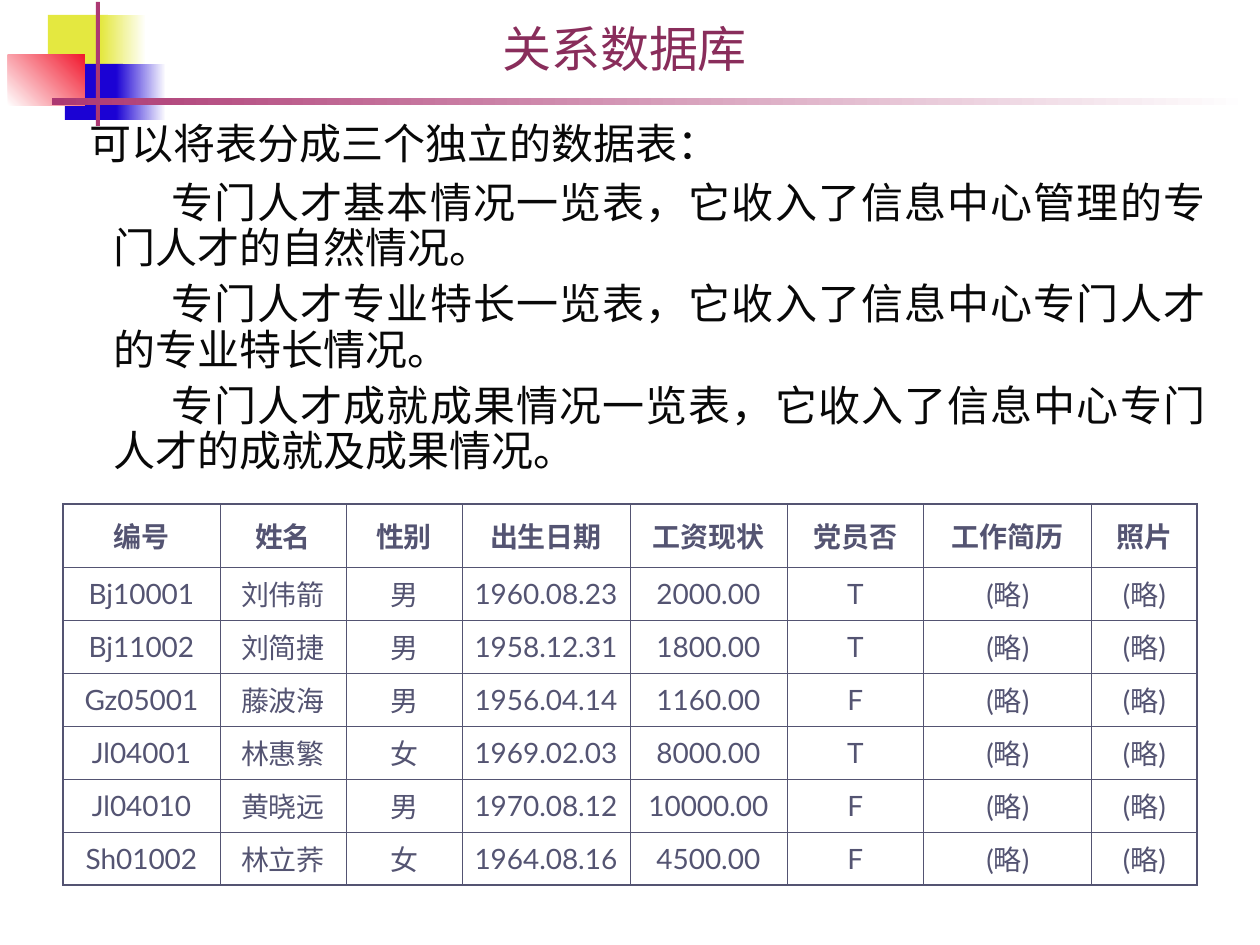
"""Build the relational database slide with its personnel table."""
from lxml import etree
from pptx import Presentation
from pptx import util as u
from pptx.dml.color import RGBColor
from pptx.enum import shapes, text
from pptx.oxml.ns import qn

SCALE = 914400 / 126
COLORS = {
    "yellow": "E4E840", "blue": "1B02D4", "red": "F1192E", "plum": "AC3872",
    "white": "FFFFFF", "title": "892D5B", "body": "080808", "table": "545472",
}


def px(value):
    return u.Emu(round(value * SCALE))


def write(para, content, size, color, bold=False):
    span = para.add_run()
    span.text = content
    for name, value in {"name": "Lato", "size": u.Pt(size), "bold": bold}.items():
        setattr(span.font, name, value)
    span.font.color.rgb = RGBColor.from_string(COLORS[color])


deck = Presentation()
deck.slide_width, deck.slide_height = px(1260), px(945)
page = deck.slides.add_slide(deck.slide_layouts[6])

ornaments = [
    ((48, 15, 60, 55), ["yellow"], 0),
    ((101, 15, 45, 55), ["yellow", "white"], 0),
    ((65, 64, 58, 56), ["blue"], 0),
    ((116, 64, 50, 56), ["blue", "white"], 0),
    ((8, 55, 77, 51), ["white", "red"], 45),
    ((96, 2, 4, 124), ["plum"], 0),
    ((52, 98, 1198, 7), ["plum", "white"], 0),
]
for place, tints, angle in ornaments:
    block = page.shapes.add_shape(shapes.MSO_SHAPE.RECTANGLE, *map(px, place))
    block.shadow.inherit = False
    block.line.fill.background()
    if len(tints) == 1:
        block.fill.solid()
        block.fill.fore_color.rgb = RGBColor.from_string(COLORS[tints[0]])
    else:
        block.fill.gradient()
        block.fill.gradient_angle = angle
        for stop, tint, position in zip(block.fill.gradient_stops, tints, (0, 1)):
            stop.color.rgb = RGBColor.from_string(COLORS[tint])
            stop.position = position

body = page.shapes.add_textbox(*map(px, (53, 105, 1165, 388))).text_frame
body.word_wrap = True
body.margin_top = px(18)
statements = [
    ("可以将表分成三个独立的数据表：", -24, 0),
    ("专门人才基本情况一览表，它收入了信息中心管理的专门人才的自然情况。", 58, 8),
    ("专门人才专业特长一览表，它收入了信息中心专门人才的专业特长情况。", 58, 6),
    ("专门人才成就成果情况一览表，它收入了信息中心专门人才的成就及成果情况。", 58, 6),
]
for index, (content, indent, before) in enumerate(statements):
    para = body.add_paragraph() if index else body.paragraphs[0]
    layout = {"alignment": text.PP_ALIGN.JUSTIFY, "line_spacing": 0.9,
              "space_before": u.Pt(before)}
    for name, value in layout.items():
        setattr(para, name, value)
    properties = para._p.get_or_add_pPr()
    properties.set("marL", str(px(48)))
    properties.set("indent", str(px(indent)))
    write(para, content, 24, "body")

records = [
    ["编号", "姓名", "性别", "出生日期", "工资现状", "党员否", "工作简历", "照片"],
    ["Bj10001", "刘伟箭", "男", "1960.08.23", "2000.00", "T", "(略)", "(略)"],
    ["Bj11002", "刘简捷", "男", "1958.12.31", "1800.00", "T", "(略)", "(略)"],
    ["Gz05001", "藤波海", "男", "1956.04.14", "1160.00", "F", "(略)", "(略)"],
    ["Jl04001", "林惠繁", "女", "1969.02.03", "8000.00", "T", "(略)", "(略)"],
    ["Jl04010", "黄晓远", "男", "1970.08.12", "10000.00", "F", "(略)", "(略)"],
    ["Sh01002", "林立荞", "女", "1964.08.16", "4500.00", "F", "(略)", "(略)"],
]
widths = [157, 126, 116, 168, 157, 137, 168, 105]
heights = [63] + [53] * 6
table = page.shapes.add_table(
    len(heights), len(widths), px(63), px(504), px(sum(widths)), px(sum(heights))).table
table.first_row = table.horz_banding = False
for column, width in zip(table.columns, widths):
    column.width = px(width)
for row, height in zip(table.rows, heights):
    row.height = px(height)

last_row, last_column = len(heights) - 1, len(widths) - 1
for r, record in enumerate(records):
    for c, content in enumerate(record):
        cell = table.cell(r, c)
        cell.vertical_anchor = text.MSO_ANCHOR.MIDDLE
        cell.margin_left = cell.margin_right = px(8)
        para = cell.text_frame.paragraphs[0]
        para.alignment = text.PP_ALIGN.CENTER
        write(para, content, 16, "table", bold=r == 0)
        edges = {"a:lnL": c == 0, "a:lnR": c == last_column,
                 "a:lnT": r == 0, "a:lnB": r == last_row}
        properties = cell._tc.get_or_add_tcPr()
        for tag, outer in edges.items():
            line = etree.SubElement(properties, qn(tag), w=str(u.Pt(1.08 if outer else 0.45)))
            paint = etree.SubElement(line, qn("a:solidFill"))
            etree.SubElement(paint, qn("a:srgbClr"), val=COLORS["table"])
        cell.fill.background()

title = page.shapes.add_textbox(*map(px, (42, 0, 1165, 84))).text_frame
title.word_wrap = True
title.vertical_anchor = text.MSO_ANCHOR.BOTTOM
title.paragraphs[0].alignment = text.PP_ALIGN.CENTER
write(title.paragraphs[0], "关系数据库", 28, "title")

deck.save("out.pptx")
